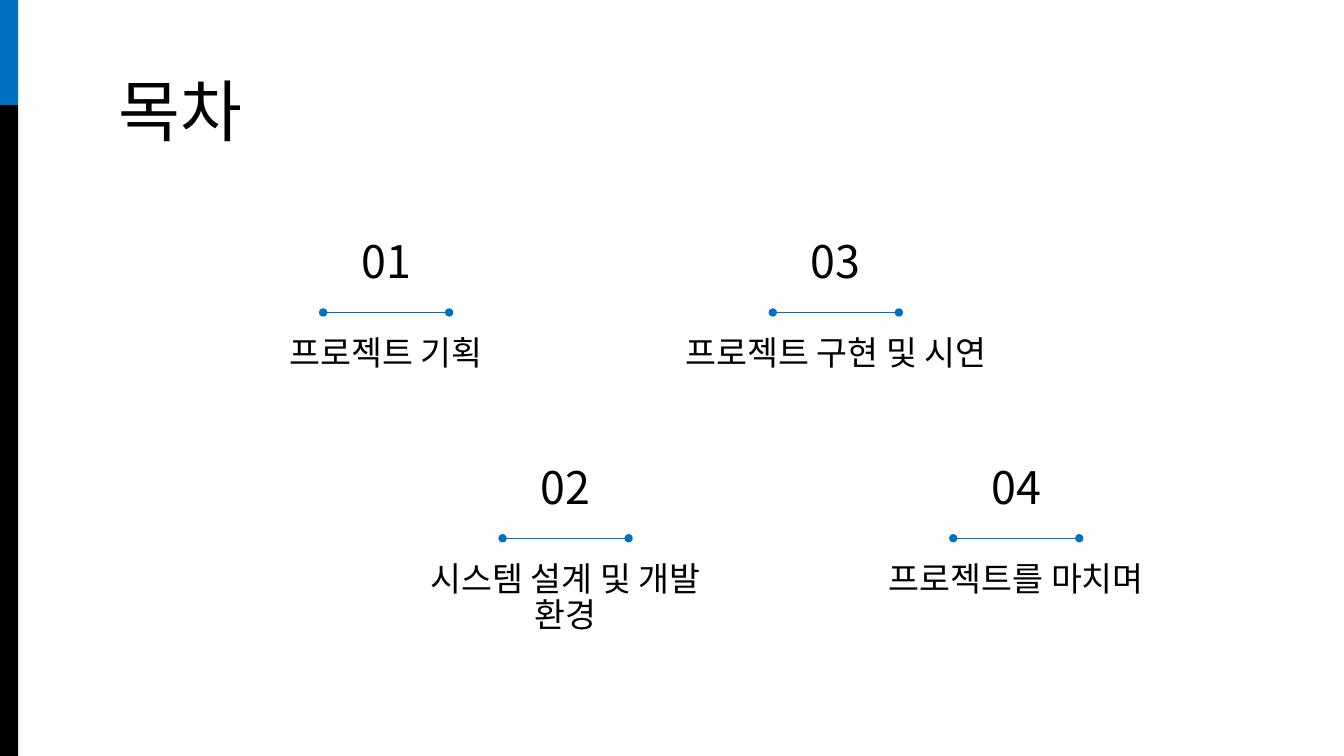
from lxml.etree import SubElement
from pptx import Presentation
from pptx.dml.color import RGBColor
from pptx.enum.shapes import MSO_CONNECTOR, MSO_SHAPE
from pptx.enum.text import MSO_ANCHOR, PP_ALIGN
from pptx.oxml.ns import qn
from pptx.util import Inches, Pt

FONT = "Noto Sans CJK KR"
BLACK = "000000"
BLUE = "0070C0"
UPPER, LOWER = 2.08, 4.32
TOPICS = [
    ("01", "프로젝트 기획", 3.83, UPPER),
    ("02", "시스템 설계 및 개발 환경", 5.61, LOWER),
    ("03", "프로젝트 구현 및 시연", 8.29, UPPER),
    ("04", "프로젝트를 마치며", 10.08, LOWER),
]


def color(code):
    return RGBColor.from_string(code)


def add_bar(slide, top, height, code):
    bar = slide.shapes.add_shape(
        MSO_SHAPE.RECTANGLE, 0, Inches(top), Inches(0.18), Inches(height))
    bar.shadow.inherit = False
    bar.fill.solid()
    bar.fill.fore_color.rgb = color(code)
    bar.line.fill.background()


def add_text(slide, text, left, top, width, height, size,
             align=PP_ALIGN.CENTER, anchor=MSO_ANCHOR.TOP):
    box = slide.shapes.add_textbox(
        Inches(left), Inches(top), Inches(width), Inches(height))
    frame = box.text_frame
    frame.word_wrap = True
    frame.vertical_anchor = anchor
    frame.margin_left = frame.margin_right = Inches(0.13)
    frame.margin_top = frame.margin_bottom = Inches(0.13)
    para = frame.paragraphs[0]
    para.alignment = align
    para.line_spacing = 0.9
    run = para.add_run()
    run.text = text
    run.font.size = Pt(size)
    run.font.color.rgb = color(BLACK)
    run.font.name = FONT
    # East Asian glyphs take their typeface from a:ea
    SubElement(run.font._element, qn("a:ea"), typeface=FONT)


def add_rule(slide, mid, top, width):
    """Draw a thin level line with a dot at each end."""
    rule = slide.shapes.add_connector(
        MSO_CONNECTOR.STRAIGHT, Inches(mid - width / 2), Inches(top),
        Inches(mid + width / 2), Inches(top))
    rule.line.color.rgb = color(BLUE)
    rule.line.width = Pt(0.5)
    line = rule.line._get_or_add_ln()
    for end in ("a:headEnd", "a:tailEnd"):
        SubElement(line, qn(end), type="oval", w="med", len="med")
    SubElement(rule._element.spPr, qn("a:effectLst"))


def add_topic(slide, number, label, mid, top):
    add_text(slide, number, mid - 0.57, top, 1.14, 0.91, 32,
             anchor=MSO_ANCHOR.BOTTOM)
    add_rule(slide, mid, top + 1.02, 1.25)
    add_text(slide, label, mid - 1.785, top + 1.13, 3.57, 0.65, 24)


def main():
    deck = Presentation()
    deck.slide_width = Inches(13.33)
    deck.slide_height = Inches(7.5)
    slide = deck.slides.add_slide(deck.slide_layouts[6])
    add_bar(slide, 1.04, 6.46, BLACK)
    add_bar(slide, 0, 1.04, BLUE)
    add_text(slide, "목차", 1.05, 0.65, 11.23, 0.84, 48, align=PP_ALIGN.LEFT)
    for topic in TOPICS:
        add_topic(slide, *topic)
    deck.save("out.pptx")


if __name__ == "__main__":
    main()
